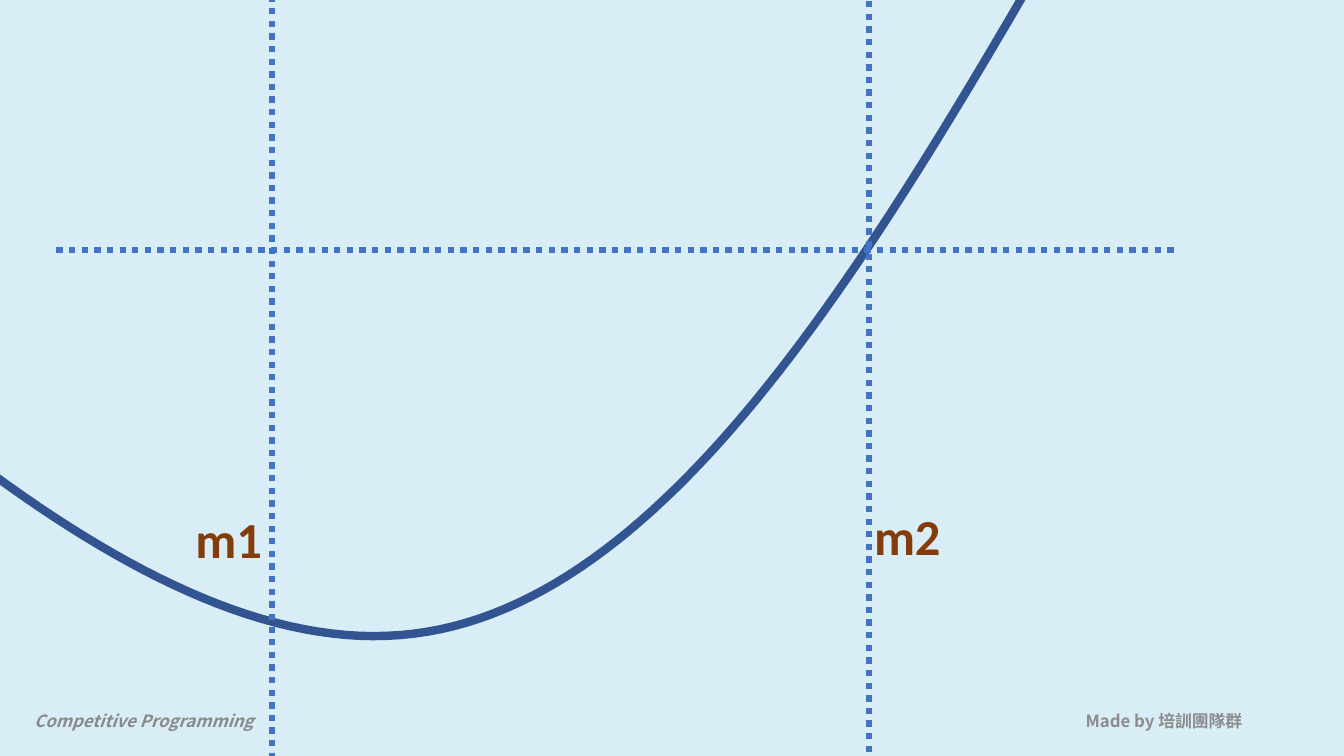
"""Build a slide that marks m1 and m2 on a convex curve."""
import dataclasses

import lxml.etree
import pptx
import pptx.dml.color
import pptx.enum.dml
import pptx.enum.shapes
import pptx.enum.text
import pptx.oxml.ns
import pptx.presentation
import pptx.slide
import pptx.util

Inches = pptx.util.Inches
RGBColor = pptx.dml.color.RGBColor
ALIGN = pptx.enum.text.PP_ALIGN
ANCHOR = pptx.enum.text.MSO_ANCHOR

BACKGROUND = RGBColor(0xD9, 0xED, 0xF7)
CURVE_BLUE = RGBColor(0x32, 0x54, 0x91)
GUIDE_BLUE = RGBColor(0x44, 0x72, 0xC4)
LABEL_BROWN = RGBColor(0x84, 0x3C, 0x0B)
CREDIT_GRAY = RGBColor(0x8C, 0x8C, 0x8C)
COURSE_GRAY = RGBColor(0x89, 0x89, 0x89)

Point = tuple[float, float]
CURVE_START: Point = (-5.17, 0.04)
CURVE_PIECES: list[tuple[Point, Point, Point]] = [
    ((-1.94, 3.28), (1.3, 6.52), (3.97, 6.3)),
    ((6.64, 6.09), (8.74, 2.41), (10.85, -1.26)),
]
STEPS_PER_PIECE = 60


@dataclasses.dataclass(frozen=True)
class Guide:
    start: Point
    end: Point


@dataclasses.dataclass(frozen=True)
class Label:
    text: str
    left: float
    top: float
    width: float
    height: float
    size: int
    font: str
    color: RGBColor
    italic: bool = False
    align: ALIGN = ALIGN.LEFT
    anchor: ANCHOR = ANCHOR.TOP


GUIDES = [
    Guide((0.56, 2.48), (11.68, 2.48)),
    Guide((2.7, 10.66), (2.7, -0.46)),
    Guide((8.62, 10.34), (8.62, -0.78)),
]
FOOTERS = [
    Label("Made by 培訓團隊群", 9.42, 6.95, 3, 0.4, 12, "Noto Sans CJK SC",
          CREDIT_GRAY, align=ALIGN.RIGHT, anchor=ANCHOR.MIDDLE),
    Label("Competitive Programming", 0.24, 6.95, 3, 0.4, 12, "Noto Sans CJK SC",
          COURSE_GRAY, italic=True, anchor=ANCHOR.MIDDLE),
]
POINT_LABELS = [
    Label("m1", 1.84, 4.99, 1.09, 0.71, 36, "Calibri", LABEL_BROWN),
    Label("m2", 8.57, 4.96, 1.09, 0.71, 36, "Calibri", LABEL_BROWN),
]


def bezier_point(points: tuple[Point, ...], t: float) -> Point:
    weights = ((1 - t) ** 3, 3 * t * (1 - t) ** 2, 3 * t ** 2 * (1 - t), t ** 3)
    x, y = (sum(w * value for w, value in zip(weights, axis)) for axis in zip(*points))
    return Inches(x), Inches(y)


def add_curve(slide: pptx.slide.Slide) -> None:
    vertices = []
    start = CURVE_START
    for piece in CURVE_PIECES:
        vertices += [bezier_point((start, *piece), step / STEPS_PER_PIECE)
                     for step in range(1, STEPS_PER_PIECE + 1)]
        start = piece[-1]
    builder = slide.shapes.build_freeform(*map(Inches, CURVE_START))
    builder.add_line_segments(vertices, close=False)
    curve = builder.convert_to_shape()
    curve.shadow.inherit = False
    curve.fill.background()
    curve.line.color.rgb = CURVE_BLUE
    curve.line.width = pptx.util.Pt(6)


def add_guide(slide: pptx.slide.Slide, guide: Guide) -> None:
    connector = slide.shapes.add_connector(
        pptx.enum.shapes.MSO_CONNECTOR.STRAIGHT,
        *map(Inches, guide.start + guide.end))
    connector.line.color.rgb = GUIDE_BLUE
    connector.line.width = pptx.util.Pt(4.5)
    connector.line.dash_style = pptx.enum.dml.MSO_LINE.ROUND_DOT
    lxml.etree.SubElement(connector._element.spPr, pptx.oxml.ns.qn("a:effectLst"))


def add_label(slide: pptx.slide.Slide, label: Label) -> None:
    box = slide.shapes.add_textbox(
        *map(Inches, (label.left, label.top, label.width, label.height)))
    frame = box.text_frame
    frame.word_wrap = True
    frame.vertical_anchor = label.anchor
    frame.text = label.text
    paragraph = frame.paragraphs[0]
    paragraph.alignment = label.align
    run = paragraph.runs[0]
    run.font.size = pptx.util.Pt(label.size)
    run.font.bold = True
    run.font.italic = label.italic
    run.font.color.rgb = label.color
    run.font.name = label.font
    east_asian = lxml.etree.SubElement(run.font._element, pptx.oxml.ns.qn("a:ea"))
    east_asian.set("typeface", label.font)


def build() -> pptx.presentation.Presentation:
    presentation = pptx.Presentation()
    presentation.slide_width = Inches(13.33)
    presentation.slide_height = Inches(7.5)
    slide = presentation.slides.add_slide(presentation.slide_layouts[6])
    slide.background.fill.solid()
    slide.background.fill.fore_color.rgb = BACKGROUND
    for footer in FOOTERS:
        add_label(slide, footer)
    add_curve(slide)
    for guide in GUIDES:
        add_guide(slide, guide)
    for label in POINT_LABELS:
        add_label(slide, label)
    return presentation


if __name__ == "__main__":
    build().save("out.pptx")
